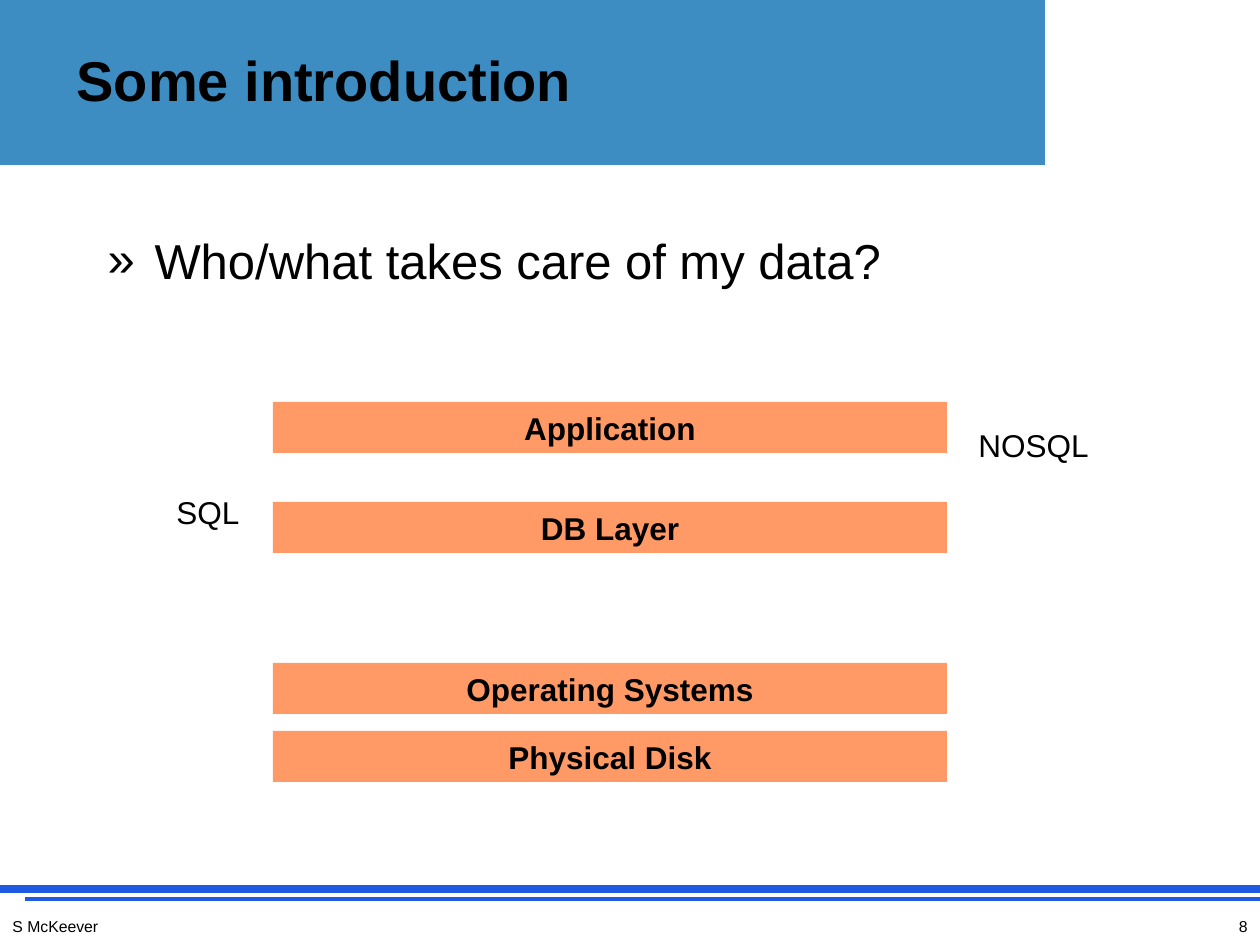
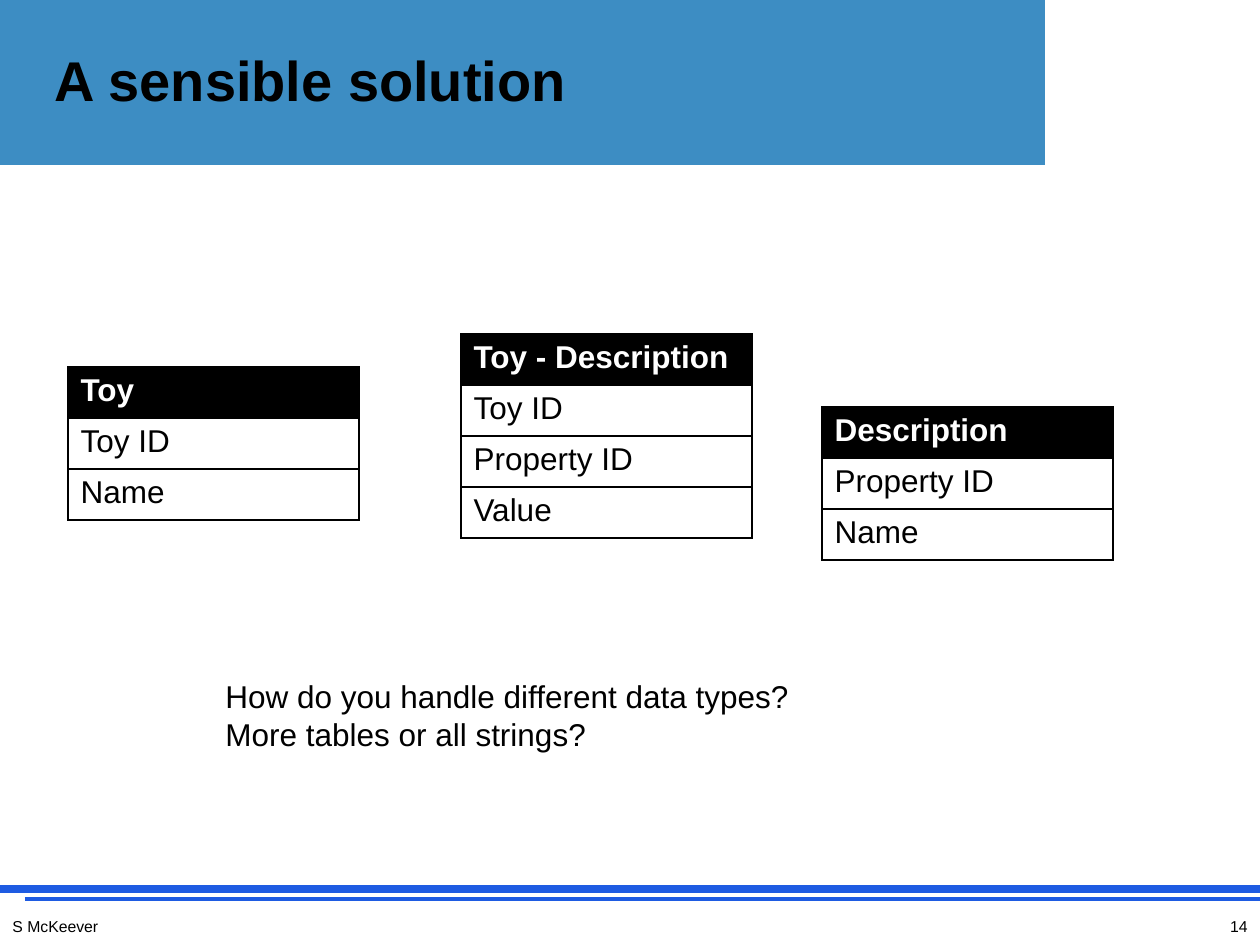
from dataclasses import dataclass
from typing import NamedTuple

from lxml.etree import SubElement
from pptx import Presentation
from pptx.dml.color import RGBColor as Rgb
from pptx.enum.shapes import MSO_CONNECTOR as Connector, MSO_SHAPE as Preset
from pptx.enum.text import MSO_ANCHOR as Anchor, MSO_AUTO_SIZE as AutoSize, PP_ALIGN as Align
from pptx.oxml.ns import qn
from pptx.util import Emu, Pt

PX_PER_INCH = 126
SLIDE_W, SLIDE_H = 1260, 945
BOX_H = 51
TABLE_W = 291


@dataclass(frozen=True)
class Theme:
    """Colours and type sizes shared by every slide."""

    font: str = "Arial"
    ink: Rgb = Rgb.from_string("000000")
    paper: Rgb = Rgb.from_string("FFFFFF")
    band: Rgb = Rgb.from_string("3D8DC3")
    rule: Rgb = Rgb.from_string("1E5BE2")
    layer: Rgb = Rgb.from_string("FF9966")
    title_size: int = 32
    list_size: int = 28
    text_size: int = 18
    footer_size: int = 9
    border: float = 0.75


THEME = Theme()


class Box(NamedTuple):
    """A rectangle in px."""

    left: int
    top: int
    width: int
    height: int


class Rule(NamedTuple):
    """A horizontal footer line running to the right edge."""

    left: int
    top: int
    weight: float


class Layer(NamedTuple):
    """One tier of the storage stack."""

    label: str
    top: int


class Entity(NamedTuple):
    """A one-column table listing the fields of an entity."""

    left: int
    top: int
    heading: str
    fields: tuple[str, ...]


FOOTER_RULES = (Rule(0, 889, 4.5), Rule(25, 899, 2.25))
LAYERS = (
    Layer("Physical Disk", 731),
    Layer("Operating Systems", 663),
    Layer("DB Layer", 502),
    Layer("Application", 402),
)
ENTITIES = (
    Entity(68, 367, "Toy", ("Toy ID", "Name")),
    Entity(822, 407, "Description", ("Property ID", "Name")),
    Entity(461, 334, "Toy - Description", ("Toy ID", "Property ID", "Value")),
)


def px(length: int) -> Emu:
    """Convert px to EMU."""
    return Emu(round(length * 914400 / PX_PER_INCH))


def place(box: Box) -> tuple[Emu, ...]:
    """Convert a box to EMU values."""
    return tuple(px(length) for length in box)


def write(frame, text: str, size: int, color: Rgb = THEME.ink,
          bold: bool = False, align: Align = Align.LEFT) -> None:
    """Fill a text frame and format all its runs."""
    frame.text = text
    for paragraph in frame.paragraphs:
        paragraph.alignment = align
        for run in paragraph.runs:
            run.font.name = THEME.font
            run.font.size = Pt(size)
            run.font.bold = bold
            run.font.color.rgb = color


def add_block(slide, box: Box, fill: Rgb):
    """Add a plain rectangle without outline."""
    block = slide.shapes.add_shape(Preset.RECTANGLE, *place(box))
    block.shadow.inherit = False
    block.fill.solid()
    block.fill.fore_color.rgb = fill
    block.line.fill.background()
    return block


def add_rule(slide, rule: Rule):
    """Add a footer line."""
    line = slide.shapes.add_connector(
        Connector.STRAIGHT, px(rule.left), px(rule.top), px(SLIDE_W), px(rule.top))
    line.line.color.rgb = THEME.rule
    line.line.width = Pt(rule.weight)
    SubElement(line.element.spPr, qn("a:effectLst"))
    return line


def add_text(slide, box: Box, text: str, size: int = THEME.text_size,
             align: Align = Align.LEFT) -> None:
    """Add a wrapping text box."""
    frame = slide.shapes.add_textbox(*place(box)).text_frame
    frame.word_wrap = True
    write(frame, text, size, align=align)


def add_layer(slide, layer: Layer) -> None:
    """Add a labelled tier."""
    tier = add_block(slide, Box(273, layer.top, 674, BOX_H), THEME.layer)
    tier.text_frame.vertical_anchor = Anchor.MIDDLE
    write(tier.text_frame, layer.label, THEME.text_size, bold=True, align=Align.CENTER)


def add_borders(cell) -> None:
    """Draw a thin line on every side of a cell."""
    properties = cell._tc.get_or_add_tcPr()
    for position, side in enumerate(("lnL", "lnR", "lnT", "lnB")):
        edge = SubElement(properties, qn(f"a:{side}"), w=str(Pt(THEME.border)))
        fill = SubElement(edge, qn("a:solidFill"))
        SubElement(fill, qn("a:srgbClr"), val=str(THEME.ink))
        properties.insert(position, edge)


def add_entity(slide, entity: Entity) -> None:
    """Add an entity table with a dark heading row."""
    rows = (entity.heading, *entity.fields)
    box = Box(entity.left, entity.top, TABLE_W, BOX_H * len(rows))
    table = slide.shapes.add_table(len(rows), 1, *place(box)).table
    table.horz_banding = False
    for index, label in enumerate(rows):
        heading = index == 0
        cell = table.cell(index, 0)
        cell.fill.solid()
        cell.fill.fore_color.rgb = THEME.ink if heading else THEME.paper
        write(cell.text_frame, label, THEME.text_size,
              THEME.paper if heading else THEME.ink, bold=heading)
        add_borders(cell)


def decorate_master(master, slide) -> None:
    """Draw the band and footer lines and move them to the master's back."""
    band = add_block(slide, Box(0, 0, SLIDE_W, 165), THEME.band)
    rules = [add_rule(slide, rule) for rule in FOOTER_RULES]
    corner = add_block(slide, Box(1047, 0, 213, 175), THEME.paper)
    corner.line.color.rgb = THEME.paper
    corner.line.width = Pt(2)
    tree = master.shapes.element
    for index, part in enumerate((band, *rules, corner)):
        part.element.xpath(".//p:cNvPr")[0].set("id", str(100 + index))
        tree.insert(2 + index, part.element)


def add_slide(deck, layout: int, title: str, title_left: int, number: int):
    """Add a slide with its title, author and page number."""
    slide = deck.slides.add_slide(deck.slide_layouts[layout])
    heading = slide.shapes.title
    heading.left, heading.top, heading.width, heading.height = place(
        Box(title_left, 0, 1071, 158))
    heading.text_frame.auto_size = AutoSize.NONE
    heading.text_frame.vertical_anchor = Anchor.MIDDLE
    write(heading.text_frame, title, THEME.title_size, bold=True)
    add_text(slide, Box(0, 911, 294, 34), "S McKeever", THEME.footer_size)
    add_text(slide, Box(966, 911, 294, 34), str(number), THEME.footer_size, Align.RIGHT)
    return slide


def build_introduction(deck):
    """Build the slide on the layers that look after data."""
    slide = add_slide(deck, 1, "Some introduction", 64, 8)
    question = slide.placeholders[1]
    question.left, question.top, question.width, question.height = place(
        Box(95, 224, 1012, 129))
    frame = question.text_frame
    frame.auto_size = AutoSize.NONE
    write(frame, "Who/what takes care of my data?", THEME.list_size)
    properties = frame.paragraphs[0]._p.get_or_add_pPr()
    properties.set("marL", str(px(47)))
    properties.set("indent", str(-px(47)))
    SubElement(properties, qn("a:buChar"), char="»")
    for layer in LAYERS:
        add_layer(slide, layer)
    add_text(slide, Box(966, 420, 159, BOX_H), "NOSQL")
    add_text(slide, Box(164, 487, 159, BOX_H), "SQL")
    return slide


def build_solution(deck) -> None:
    """Build the slide with the three linked entities."""
    slide = add_slide(deck, 5, "A sensible solution", 42, 14)
    for entity in ENTITIES:
        add_entity(slide, entity)
    add_text(slide, Box(213, 671, 774, 89),
             "How do you handle different data types?\nMore tables or all strings?")


def main() -> None:
    """Build and save the deck."""
    deck = Presentation()
    deck.slide_width, deck.slide_height = px(SLIDE_W), px(SLIDE_H)
    introduction = build_introduction(deck)
    decorate_master(deck.slide_master, introduction)
    build_solution(deck)
    deck.save("out.pptx")


if __name__ == "__main__":
    main()
